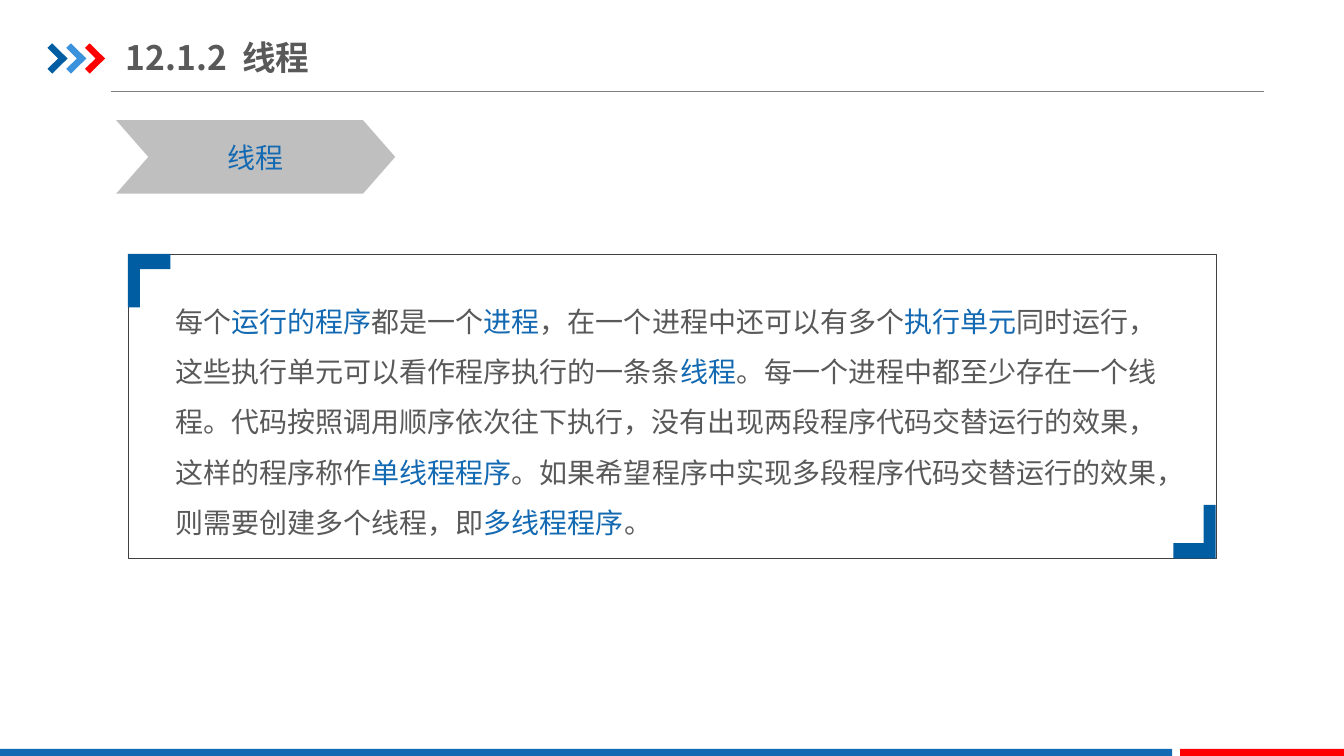
from lxml import etree
from pptx import Presentation
from pptx.dml.color import RGBColor
from pptx.enum import shapes, text
from pptx.oxml.ns import qn
from pptx.util import Pt

FONT = "Noto Sans CJK SC"
BLUE, NAVY, RED, GRAY = "1369B2", "005DA2", "FF0000", "595959"


def paint(shape, color):
    shape.shadow.inherit = False
    shape.fill.solid()
    shape.fill.fore_color.rgb = RGBColor.from_string(color)
    shape.line.fill.background()


def add_run(paragraph, words, size, color, bold=False):
    run = paragraph.add_run()
    run.text = words
    run.font.size = Pt(size)
    run.font.bold = bold
    run.font.color.rgb = RGBColor.from_string(color)
    run.font.name = FONT
    etree.SubElement(run.font._element, qn("a:ea"), typeface=FONT)


presentation = Presentation()
presentation.slide_width = Pt(960)
presentation.slide_height = Pt(540)
slide = presentation.slides.add_slide(presentation.slide_layouts[5])

rule = slide.shapes.add_connector(
    shapes.MSO_CONNECTOR.STRAIGHT, Pt(79.2), Pt(65.5), Pt(902.9), Pt(65.5))
rule.line.color.rgb = RGBColor.from_string("808080")
rule.line.width = Pt(0.75)
etree.SubElement(rule._element.spPr, qn("a:effectLst"))

arrow_outline = [(0, 3.2), (3.4, 0), (14.4, 10.8), (3.4, 21.6), (0, 18.2), (7.7, 10.8)]
for index, color in enumerate([NAVY, "3992DB", RED]):
    points = [(Pt(33.9 + 13.4 * index + x), Pt(31 + y)) for x, y in arrow_outline]
    builder = slide.shapes.build_freeform(*points[0])
    builder.add_line_segments(points[1:])
    paint(builder.convert_to_shape(), color)

for left, width, color in [(0, 837.2, BLUE), (843, 117, RED)]:
    bar = slide.shapes.add_shape(
        shapes.MSO_SHAPE.RECTANGLE, Pt(left), Pt(535), Pt(width), Pt(5))
    paint(bar, color)

title = slide.shapes.title
title.left, title.top, title.width, title.height = Pt(90), Pt(20.9), Pt(306.7), Pt(39.6)
frame = title.text_frame
frame.auto_size = text.MSO_AUTO_SIZE.NONE
frame.vertical_anchor = text.MSO_ANCHOR.MIDDLE
frame.margin_left = frame.margin_right = 0
frame.paragraphs[0].alignment = text.PP_ALIGN.LEFT
add_run(frame.paragraphs[0], "12.1.2  线程", 24, GRAY, True)

banner = slide.shapes.add_shape(
    shapes.MSO_SHAPE.CHEVRON, Pt(83), Pt(85.9), Pt(199.3), Pt(52.4))
banner.adjustments[0] = 0.438
paint(banner, "BFBFBF")
banner.text_frame.vertical_anchor = text.MSO_ANCHOR.MIDDLE
banner.text_frame.paragraphs[0].alignment = text.PP_ALIGN.CENTER
add_run(banner.text_frame.paragraphs[0], "线程", 20, BLUE)

left, top, width, height = 91.4, 181.4, 777, 217.4
border = slide.shapes.add_shape(
    shapes.MSO_SHAPE.RECTANGLE, Pt(left), Pt(top), Pt(width), Pt(height))
border.shadow.inherit = False
border.fill.background()
border.line.color.rgb = RGBColor.from_string("404040")
border.line.width = Pt(0.25)

bracket_outline = [(0, 0), (30.3, 0), (30.3, 10.8), (8.6, 10.8), (8.6, 38.2), (0, 38.2)]
for corner_x, corner_y, sign in [(left, top, 1), (left + width, top + height, -1)]:
    points = [(Pt(corner_x + sign * x), Pt(corner_y + sign * y)) for x, y in bracket_outline]
    builder = slide.shapes.build_freeform(*points[0])
    builder.add_line_segments(points[1:])
    paint(builder.convert_to_shape(), NAVY)

body = slide.shapes.add_textbox(Pt(118), Pt(201.6), Pt(725.8), Pt(183.6))
body.text_frame.word_wrap = True
paragraph = body.text_frame.paragraphs[0]
paragraph.line_spacing = 1.5
for words, color in [
    ("每个", GRAY),
    ("运行的程序", BLUE),
    ("都是一个", GRAY),
    ("进程", BLUE),
    ("，在一个进程中还可以有多个", GRAY),
    ("执行单元", BLUE),
    ("同时运行，这些执行单元可以看作程序执行的一条条", GRAY),
    ("线程", BLUE),
    ("。每一个进程中都至少存在一个线程。代码按照调用顺序依次往下执行，"
     "没有出现两段程序代码交替运行的效果，这样的程序称作", GRAY),
    ("单线程程序", BLUE),
    ("。如果希望程序中实现多段程序代码交替运行的效果，则需要创建多个线程，即", GRAY),
    ("多线程程序", BLUE),
    ("。", GRAY),
]:
    add_run(paragraph, words, 20, color)

presentation.save("out.pptx")
